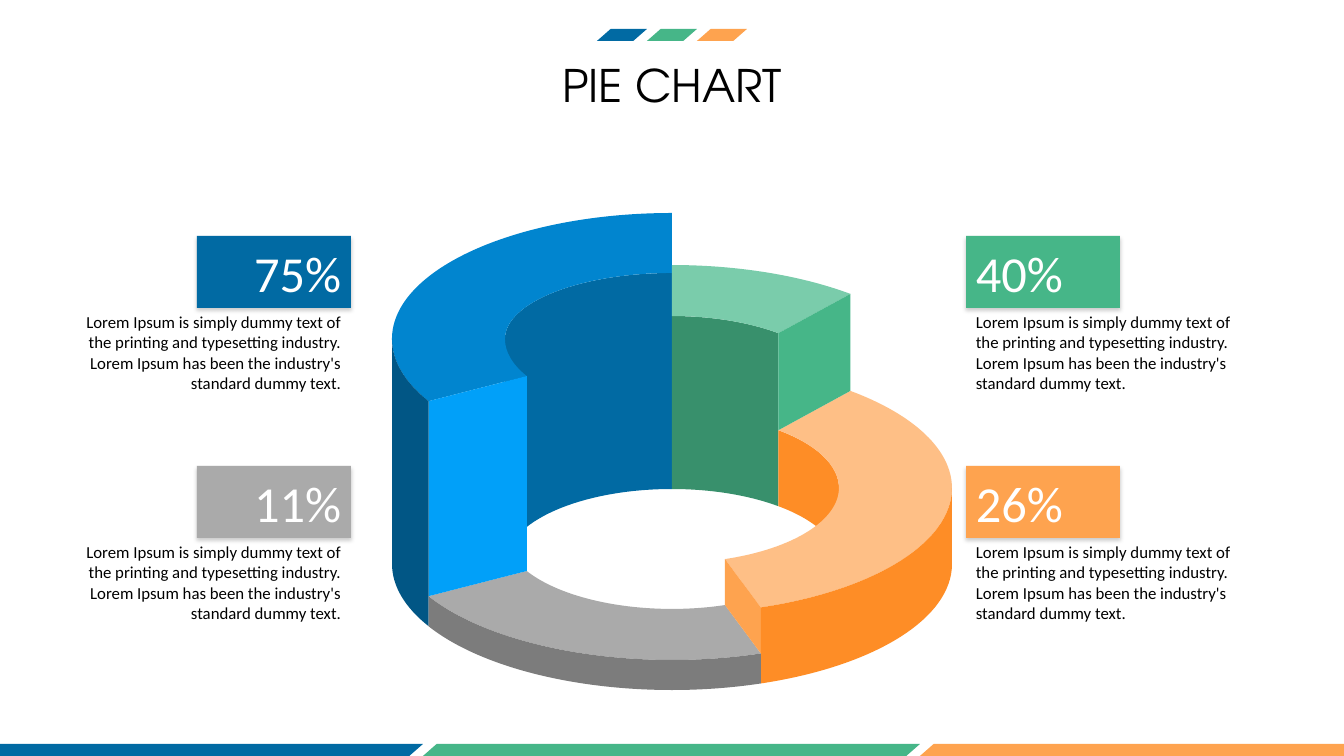
from dataclasses import dataclass
from math import cos, radians, sin, tan

from lxml.etree import SubElement
from pptx import Presentation
from pptx.dml.color import RGBColor
from pptx.enum.shapes import MSO_SHAPE
from pptx.enum.text import MSO_ANCHOR, MSO_AUTO_SIZE, PP_ALIGN
from pptx.oxml.ns import qn


@dataclass(frozen=True)
class Theme:
    blue: str = "016AA3"
    green: str = "46B688"
    orange: str = "FEA34F"
    gray: str = "AAAAAA"
    ink: str = "000000"
    paper: str = "FFFFFF"
    head: str = "TeX Gyre Adventor"
    body: str = "Calibri"
    title: int = 32
    value: int = 36
    note: int = 12


THEME = Theme()
TITLE = "PIE CHART"
NOTE = ("Lorem Ipsum is simply dummy text of the printing and typesetting "
        "industry. Lorem Ipsum has been the industry's standard dummy text.")

# value, fill, on the left side, top
CARDS = [
    ("75%", THEME.blue, True, 236),
    ("11%", THEME.gray, True, 466),
    ("40%", THEME.green, False, 236),
    ("26%", THEME.orange, False, 466),
]
# Angles run clockwise from the back of the ring; level is the y of a top's centre.
# start, end, level, colours of top, inner wall, outer wall
SLICES = [
    (240.4, 360, 339, "0185CF", THEME.blue, "015685"),
    (0, 39.6, 391, "7ACCAB", "38906C", None),
    (39.6, 161.5, 488, "FEBF86", "FE8D26", "FE8D26"),
    (161.5, 240.4, 534, THEME.gray, None, "7C7C7C"),
]
# angle, upper level, lower level, colour
CUTS = [
    (39.6, 391, 488, THEME.green),
    (161.5, 488, 534, THEME.orange),
    (240.4, 339, 534, "01A0F9"),
]
STRIPES = [THEME.blue, THEME.green, THEME.orange]

WIDE, HIGH = 1344, 756
MID, BASE = WIDE // 2, 564
OUTER, INNER = (280, 126), (167, 75)
BACK = (167, 66)  # flatter inner radii at the back of the tallest slice
PX = 12192000 / WIDE


def emu(*sizes):
    return [round(size * PX) for size in sizes]


def paint(shape, color):
    shape.shadow.inherit = False
    shape.fill.solid()
    shape.fill.fore_color.rgb = RGBColor.from_string(color)
    shape.line.fill.background()


def write(shape, text, size, color=THEME.ink, font=THEME.body,
          align=PP_ALIGN.LEFT, anchor=MSO_ANCHOR.TOP, inset=None):
    frame = shape.text_frame
    frame.word_wrap = True
    frame.auto_size = MSO_AUTO_SIZE.SHAPE_TO_FIT_TEXT
    frame.vertical_anchor = anchor
    if inset is not None:
        frame.margin_left = frame.margin_right = inset
        frame.margin_top = frame.margin_bottom = inset
    para = frame.paragraphs[0]
    para.alignment = align
    run = para.add_run()
    run.text = text
    run.font.name = font
    run.font.size = size * 12700
    run.font.bold = False
    run.font.color.rgb = RGBColor.from_string(color)


def cast(shape):
    """Give the shape a soft drop shadow."""
    effects = shape.element.spPr.find(qn("a:effectLst"))
    drop = SubElement(effects, qn("a:outerShdw"), blurRad="38100",
                      dist="25400", dir="5400000", rotWithShape="0")
    tint = SubElement(drop, qn("a:srgbClr"), val=THEME.ink)
    SubElement(tint, qn("a:alpha"), val="20000")


def spot(angle, level, radii):
    turn = radians(angle)
    return MID + radii[0] * sin(turn), level - radii[1] * cos(turn)


def bend(start, end, level, radii):
    """Return the three points of a cubic curve along the ellipse."""
    reach = 4 / 3 * tan(radians(end - start) / 4)

    def lead(angle, sign):
        x, y = spot(angle, level, radii)
        turn = radians(angle)
        return (x + sign * reach * radii[0] * cos(turn),
                y + sign * reach * radii[1] * sin(turn))

    return [lead(start, 1), lead(end, -1), spot(end, level, radii)]


def arc(start, end, level, radii):
    """Return a line to the arc's start, then one curve per quadrant."""
    low, high = sorted((start, end))
    stops = [low, *(turn for turn in (90, 180, 270) if low < turn < high), high]
    if start > end:
        stops.reverse()
    curves = [bend(a, b, level, radii) for a, b in zip(stops, stops[1:])]
    return [[spot(start, level, radii)], *curves]


def outline(shapes, parts, color):
    """Draw a closed outline; parts of one point are lines, of three are curves."""
    first, *rest = [emu(*point) for part in parts for point in part]
    pen = shapes.build_freeform(*first, scale=1.0)
    pen.add_line_segments(rest, close=True)
    shape = pen.convert_to_shape()
    lines = iter(shape.element.findall(".//" + qn("a:lnTo")))
    for part in parts[1:]:
        line = next(lines)
        if len(part) == 3:
            line.tag = qn("a:cubicBezTo")
            for other in (next(lines), next(lines)):
                line.append(other[0])
                other.getparent().remove(other)
    paint(shape, color)


def wall(shapes, start, end, level, color, radii, rim=None):
    if color and start < end:
        parts = arc(start, end, level, rim or radii) + arc(end, start, BASE, radii)
        outline(shapes, parts, color)


def ring(shapes):
    for start, end, level, _, inner, _ in SLICES:
        if end == 360:
            wall(shapes, 270, 360, level, inner, INNER, rim=BACK)
        else:
            wall(shapes, start, min(end, 90), level, inner, INNER)
    for start, end, level, top, _, _ in SLICES:
        if end == 360:
            rim = arc(360, 270, level, BACK) + arc(270, start, level, INNER)[1:]
        else:
            rim = arc(end, start, level, INNER)
        outline(shapes, arc(start, end, level, OUTER) + rim, top)
    for angle, upper, lower, color in CUTS:
        corners = [[spot(angle, upper, INNER)], [spot(angle, upper, OUTER)],
                   [spot(angle, lower, OUTER)], [spot(angle, lower, INNER)]]
        outline(shapes, corners, color)
    for start, end, level, _, _, outer in SLICES:
        wall(shapes, max(start, 90), min(end, 270), level, outer, OUTER)


def cards(shapes):
    wide, tall, span = 154, 72, 287
    for value, color, left, top in CARDS:
        edge = 64 if left else 966
        align = PP_ALIGN.RIGHT if left else PP_ALIGN.LEFT
        note = shapes.add_textbox(*emu(edge, top + tall - 1, span, 92))
        write(note, NOTE, THEME.note, align=align)
        near = edge + span - wide if left else edge
        card = shapes.add_shape(MSO_SHAPE.RECTANGLE, *emu(near, top, wide, tall))
        paint(card, color)
        cast(card)
        write(card, value, THEME.value, color=THEME.paper, align=align,
              anchor=MSO_ANCHOR.MIDDLE)


def stripes(shapes, left, top, wide):
    for i, color in enumerate(STRIPES):
        box = emu(left + i * wide, top, wide, 12)
        bar = shapes.add_shape(MSO_SHAPE.PARALLELOGRAM, *box)
        bar.adjustments[0] = 1.14
        paint(bar, color)


def main():
    deck = Presentation()
    deck.slide_width, deck.slide_height = emu(WIDE, HIGH)
    slide = deck.slides.add_slide(deck.slide_layouts[5])
    shapes = slide.shapes
    title = shapes.title
    title.left, title.top, title.width, title.height = emu(382, 58, 580, 54)
    write(title, TITLE, THEME.title, font=THEME.head, align=PP_ALIGN.CENTER,
          anchor=MSO_ANCHOR.MIDDLE, inset=0)
    ring(shapes)
    cards(shapes)
    stripes(shapes, -74, HIGH - 12, 497)
    stripes(shapes, 597, 29, 50)
    deck.save("out.pptx")


if __name__ == "__main__":
    main()
